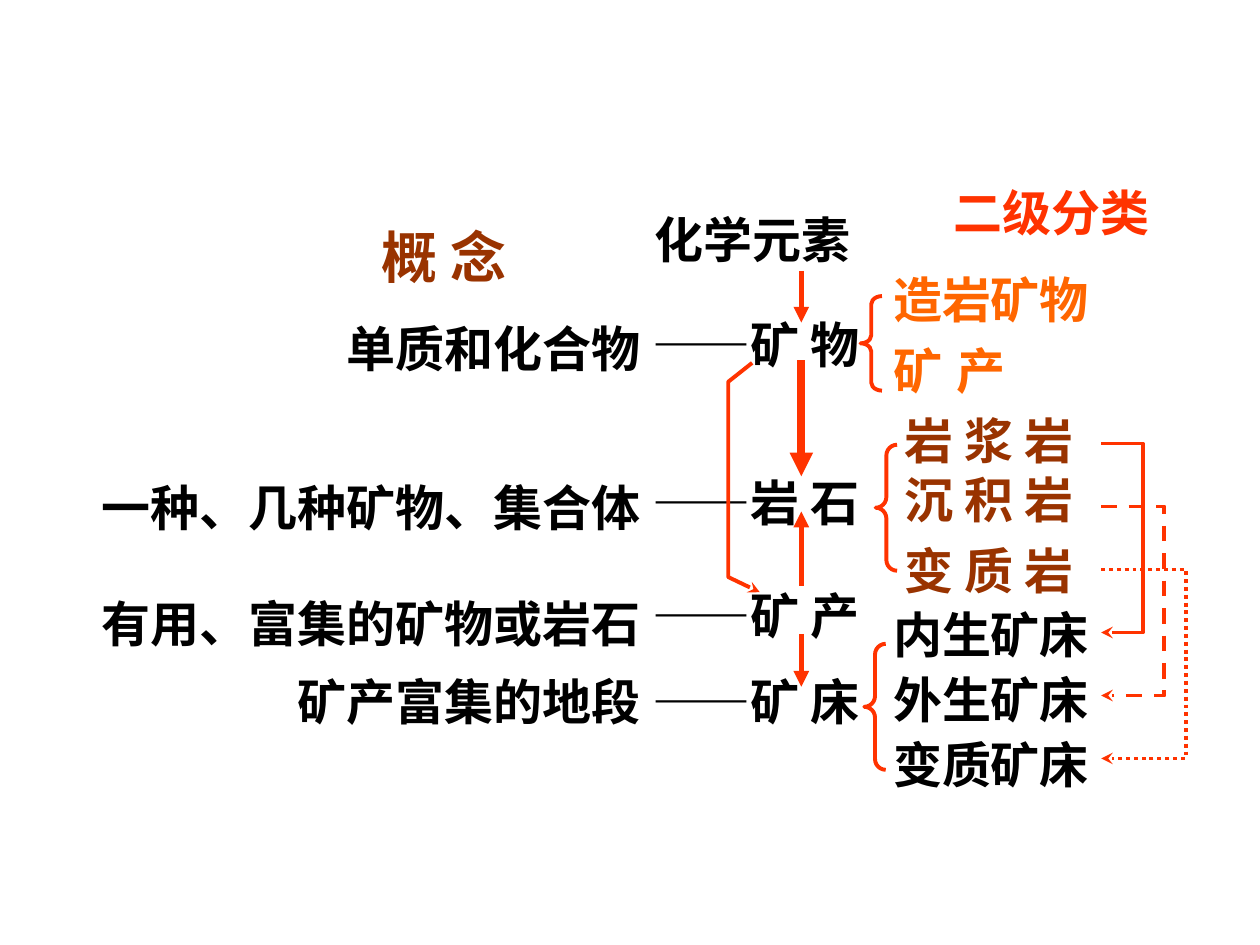
import pptx
import pptx.util
import pptx.dml.color
import pptx.enum.dml
import pptx.enum.shapes
import pptx.enum.text
from lxml import etree
from pptx.oxml.ns import qn

Inches = pptx.util.Inches
Pt = pptx.util.Pt
RGBColor = pptx.dml.color.RGBColor
Dash = pptx.enum.dml.MSO_LINE
Align = pptx.enum.text.PP_ALIGN

BLACK = RGBColor(0x00, 0x00, 0x00)
RED = RGBColor(0xFF, 0x33, 0x00)
ORANGE = RGBColor(0xFF, 0x66, 0x00)
BROWN = RGBColor(0x99, 0x33, 0x00)


class ConceptSlide:
    font_name = "Times New Roman"
    text_size = 28
    line_width = 2.25

    def __init__(self, slide):
        self.slide = slide

    def text_box(self, left, top, width, height):
        """Add an empty box that does not wrap and return its text frame."""
        box = self.slide.shapes.add_textbox(
            Inches(left), Inches(top), Inches(width), Inches(height))
        frame = box.text_frame
        frame.word_wrap = False
        frame.auto_size = pptx.enum.text.MSO_AUTO_SIZE.SHAPE_TO_FIT_TEXT
        return frame

    def add_text(self, paragraph, text, color=BLACK, size=text_size):
        run = paragraph.add_run()
        run.text = text
        run.font.name = self.font_name
        run.font.size = Pt(size)
        run.font.bold = True
        run.font.color.rgb = color

    def label(self, text, left, top, width, height=0.57, color=BLACK, size=text_size):
        frame = self.text_box(left, top, width, height)
        self.add_text(frame.paragraphs[0], text, color, size)

    def definitions(self, rows, left, top, width, height):
        """Right-aligned lines, given as (text, space before in points)."""
        frame = self.text_box(left, top, width, height)
        for index, (text, space_before) in enumerate(rows):
            paragraph = frame.add_paragraph() if index else frame.paragraphs[0]
            paragraph.alignment = Align.RIGHT
            paragraph.space_before = Pt(space_before)
            self.add_text(paragraph, text)

    def classes(self, rows, left, top, width, height):
        """Lines given as (text, colour, line spacing, indent, tab stop)."""
        frame = self.text_box(left, top, width, height)
        for index, (text, color, spacing, indent, tab) in enumerate(rows):
            paragraph = frame.add_paragraph() if index else frame.paragraphs[0]
            paragraph.line_spacing = spacing
            properties = paragraph._p.get_or_add_pPr()
            properties.set("marL", str(Inches(indent)))
            properties.set("indent", "0")
            if tab:
                tabs = etree.SubElement(properties, qn("a:tabLst"))
                etree.SubElement(tabs, qn("a:tab"), pos=str(Inches(tab)), algn="l")
            self.add_text(paragraph, text, color)

    def style_line(self, shape, width=line_width, head=None, dash=None):
        shape.line.color.rgb = RED
        shape.line.width = Pt(width)
        if dash:
            shape.line.dash_style = dash
        if head:
            etree.SubElement(shape.line._get_or_add_ln(), qn("a:tailEnd"), type=head)

    def vertical_arrow(self, x, start, end, width=3):
        arrow = self.slide.shapes.add_connector(
            pptx.enum.shapes.MSO_CONNECTOR.STRAIGHT,
            Inches(x), Inches(start), Inches(x), Inches(end))
        self.style_line(arrow, width, "triangle")
        etree.SubElement(arrow._element.spPr, qn("a:effectLst"))

    def bent_arrow(self, points, dash=None):
        first, *rest = [(Inches(x), Inches(y)) for x, y in points]
        builder = self.slide.shapes.build_freeform(*first)
        builder.add_line_segments(rest, close=False)
        shape = builder.convert_to_shape()
        shape.fill.background()
        shape.shadow.inherit = False
        self.style_line(shape, head="stealth", dash=dash)

    def brace(self, left, top, height, curve):
        shape = self.slide.shapes.add_shape(
            pptx.enum.shapes.MSO_SHAPE.LEFT_BRACE,
            Inches(left), Inches(top), Inches(0.17), Inches(height))
        shape.adjustments[0] = curve
        shape.adjustments[1] = 0.5
        shape.fill.background()
        shape.shadow.inherit = False
        self.style_line(shape)


def main():
    presentation = pptx.Presentation()
    presentation.slide_width = Inches(10)
    presentation.slide_height = Inches(7.5)
    concept = ConceptSlide(presentation.slides.add_slide(presentation.slide_layouts[6]))

    concept.label("化学元素", 5.1, 1.61, 1.77)
    for text, top in (("矿 物", 2.45), ("岩 石", 3.7), ("矿 产", 4.6), ("矿 床", 5.28)):
        concept.label("——" + text, 5.08, top, 1.86)
    concept.label("概 念", 2.93, 1.72, 1.21, 0.63, BROWN, 32)
    concept.label("二级分类", 7.47, 1.4, 1.77, color=RED)

    concept.definitions([
        ("单质和化合物", 0),
        ("一种、几种矿物、集合体", 57.4),
        ("有用、富集的矿物或岩石", 32.3),
        ("矿产富集的地段", 11),
    ], 0.68, 2.48, 4.5, 3.38)

    concept.classes([
        ("造岩矿物", ORANGE, 1.0, 0, None),
        ("矿\t产", ORANGE, 1.2, 0, 1.09),
        ("岩 浆 岩", BROWN, 1.2, 0.09, None),
        ("沉 积 岩", BROWN, 1.0, 0.09, None),
        ("变 质 岩", BROWN, 1.2, 0.09, None),
        ("内生矿床", BLACK, 1.1, 0, None),
        ("外生矿床", BLACK, 1.1, 0, None),
        ("变质矿床", BLACK, 1.1, 0, None),
    ], 6.99, 2.09, 1.77, 4.26)

    for start, end, width in ((2.15, 2.56, 3), (2.86, 3.78, 4.5),
                              (4.65, 4.06, 3), (5.03, 5.45, 3)):
        concept.vertical_arrow(6.36, start, end, width)

    concept.bent_arrow([(5.97, 2.88), (5.78, 3.03), (5.78, 4.58), (6.03, 4.7)])
    for index, dash in enumerate((None, Dash.DASH, Dash.ROUND_DOT)):
        right = 9.07 + 0.17 * index
        top = 3.52 + 0.5 * index
        bottom = top + 1.5
        concept.bent_arrow(
            [(8.74, top), (right, top), (right, bottom), (8.74, bottom)], dash)

    for left, top, height, curve in ((6.83, 2.35, 0.75, 0.375),
                                     (6.95, 3.53, 1, 0.5), (6.86, 5.11, 1, 0.5)):
        concept.brace(left, top, height, curve)

    presentation.save("out.pptx")


if __name__ == "__main__":
    main()
